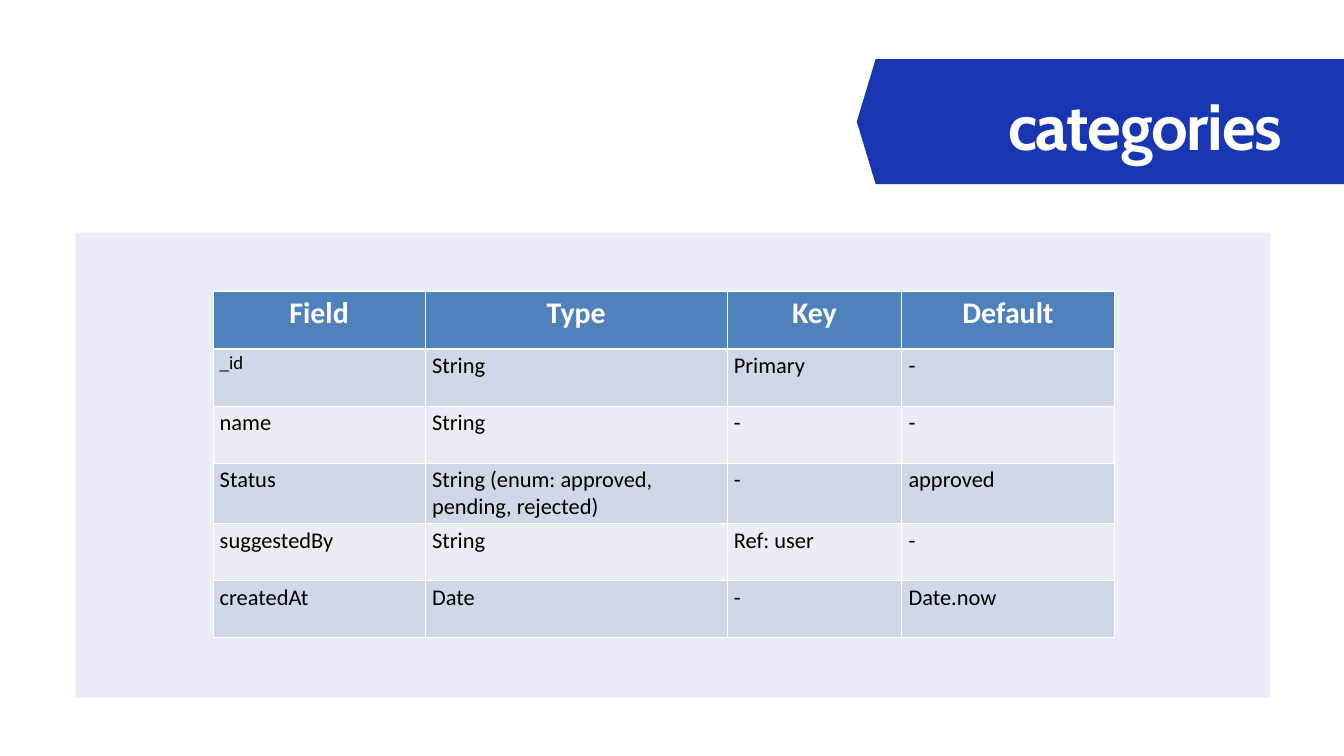
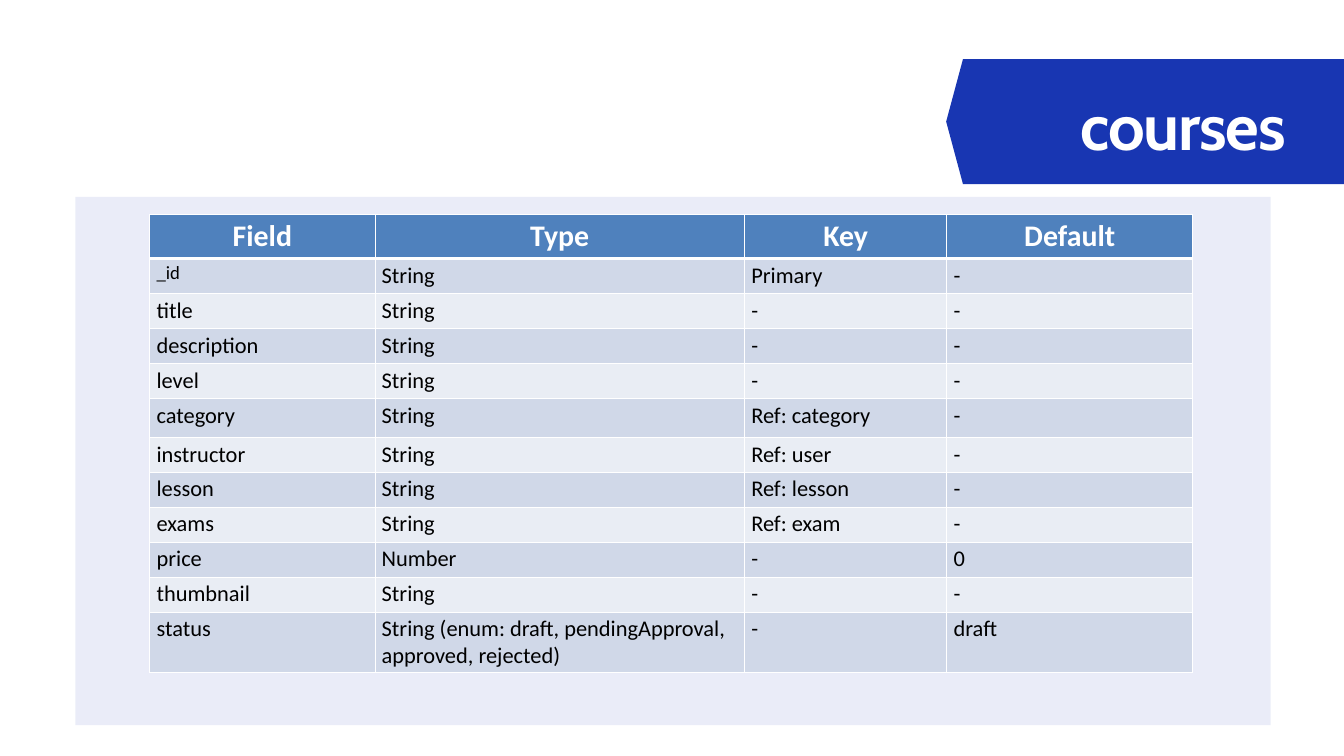
from lxml import etree
from pptx import Presentation
from pptx.dml.color import RGBColor
from pptx.enum.shapes import MSO_SHAPE
from pptx.enum.text import MSO_AUTO_SIZE, PP_ALIGN
from pptx.oxml.ns import qn
from pptx.util import Inches, Pt

RECTANGLE = MSO_SHAPE.RECTANGLE
GROW_TO_TEXT = MSO_AUTO_SIZE.SHAPE_TO_FIT_TEXT
LEFT, CENTER = PP_ALIGN.LEFT, PP_ALIGN.CENTER

BLUE, WHITE, BLACK = "1836B2", "FFFFFF", "000000"
HEADER_FILL = "4F81BD"
BAND_FILLS = ["E9EDF4", "D0D8E8"]  # even rows, odd rows
TITLE_FONT, TABLE_FONT = "Cabin", "Calibri"
HEADINGS = ("Field", "Type", "Key", "Default")
FLAG_TOP, FLAG_MIDDLE, FLAG_BOTTOM = 0.88, 1.81, 2.74
PANEL_LEFT, PANEL_WIDTH = 1.12, 17.79

COLLECTIONS = [
    {
        "title": "categories", "title_left": 15, "title_width": 5.58,
        "flag_left": 12.75, "flag_right": 20.54, "flag_notch": 0.28,
        "panel_top": 3.46, "panel_height": 6.92,
        "table_left": 3.17, "table_top": 4.34,
        "columns": [3.16, 4.49, 2.6, 3.16],
        "row_heights": [0.85] * 6,
        "fields": [
            ("_id", "String", "Primary", "-"),
            ("name", "String", "-", "-"),
            ("Status", "String (enum: approved, pending, rejected)", "-", "approved"),
            ("suggestedBy", "String", "Ref: user", "-"),
            ("createdAt", "Date", "-", "Date.now"),
        ],
    },
    {
        "title": "courses", "title_left": 16.08, "title_width": 4.95,
        "flag_left": 14.08, "flag_right": 21, "flag_notch": 0.25,
        "panel_top": 2.93, "panel_height": 7.86,
        "table_left": 2.23, "table_top": 3.19,
        "columns": [3.35, 5.5, 3.01, 3.66],
        "row_heights": [0.66] + [0.52] * 4 + [0.58] + [0.52] * 6,
        "fields": [
            ("_id", "String", "Primary", "-"),
            ("title", "String", "-", "-"),
            ("description", "String", "-", "-"),
            ("level", "String", "-", "-"),
            ("category", "String", "Ref: category", "-"),
            ("instructor", "String", "Ref: user", "-"),
            ("lesson", "String", "Ref: lesson", "-"),
            ("exams", "String", "Ref: exam", "-"),
            ("price", "Number", "-", "0"),
            ("thumbnail", "String", "-", "-"),
            ("status", "String (enum: draft, pendingApproval, approved, rejected)",
             "-", "draft"),
        ],
    },
]


def paint(fill, color):
    fill.solid()
    fill.fore_color.rgb = RGBColor.from_string(color)


def add_borders(cell, top, bottom):
    properties = cell._tc.get_or_add_tcPr()
    widths = {"a:lnL": 1, "a:lnR": 1, "a:lnT": top, "a:lnB": bottom}
    for position, (tag, width) in enumerate(widths.items()):
        line = etree.Element(qn(tag), w=str(Pt(width)))
        solid = etree.SubElement(line, qn("a:solidFill"))
        etree.SubElement(solid, qn("a:srgbClr"), val=WHITE)
        properties.insert(position, line)


deck = Presentation()
deck.slide_width, deck.slide_height = Inches(20), Inches(11.25)

for collection in COLLECTIONS:
    page = deck.slides.add_slide(deck.slide_layouts[6])
    paint(page.background.fill, WHITE)

    # Title flag pointing left
    tip, right = collection["flag_left"], collection["flag_right"]
    shoulder_left = tip + collection["flag_notch"]
    shoulder_right = right - collection["flag_notch"]
    outline = [(shoulder_right, FLAG_BOTTOM), (right, FLAG_MIDDLE),
               (shoulder_right, FLAG_TOP), (shoulder_left, FLAG_TOP),
               (tip, FLAG_MIDDLE)]
    builder = page.shapes.build_freeform(Inches(shoulder_left), Inches(FLAG_BOTTOM))
    builder.add_line_segments([(Inches(x), Inches(y)) for x, y in outline], close=True)
    flag = builder.convert_to_shape()
    flag.shadow.inherit = False
    paint(flag.fill, BLUE)
    flag.line.fill.background()

    # Title text
    box = page.shapes.add_textbox(Inches(collection["title_left"]), Inches(1.07),
                                  Inches(collection["title_width"]), Inches(1.29))
    frame = box.text_frame
    frame.word_wrap = True
    frame.auto_size = GROW_TO_TEXT
    frame.margin_left = frame.margin_right = frame.margin_top = frame.margin_bottom = 0
    para = frame.paragraphs[0]
    para.line_spacing = Pt(98)
    span = para.add_run()
    span.text = collection["title"]
    span.font.name, span.font.size, span.font.bold = TITLE_FONT, Pt(70), True
    span.font.color.rgb = RGBColor.from_string(WHITE)
    span.font._element.set("spc", "-140")

    # Pale panel behind the table
    panel = page.shapes.add_shape(RECTANGLE, Inches(PANEL_LEFT),
                                  Inches(collection["panel_top"]), Inches(PANEL_WIDTH),
                                  Inches(collection["panel_height"]))
    panel.shadow.inherit = False
    paint(panel.fill, BLUE)
    panel.line.fill.background()
    panel_color = panel._element.spPr.find(qn("a:solidFill")).find(qn("a:srgbClr"))
    etree.SubElement(panel_color, qn("a:alpha"), val="9000")

    # Field table
    rows = [HEADINGS] + collection["fields"]
    columns, heights = collection["columns"], collection["row_heights"]
    table = page.shapes.add_table(
        len(rows), len(columns), Inches(collection["table_left"]),
        Inches(collection["table_top"]), Inches(sum(columns)), Inches(sum(heights))).table
    table.horz_banding = False
    for column, width in zip(table.columns, columns):
        column.width = Inches(width)
    for row_index, values in enumerate(rows):
        table.rows[row_index].height = Inches(heights[row_index])
        is_header = row_index == 0
        for column_index, value in enumerate(values):
            cell = table.cell(row_index, column_index)
            paint(cell.fill, HEADER_FILL if is_header else BAND_FILLS[row_index % 2])
            add_borders(cell, top=3 if row_index == 1 else 1, bottom=3 if is_header else 1)
            cell.text = value
            para = cell.text_frame.paragraphs[0]
            para.alignment = CENTER if is_header else LEFT
            para.font.name = TABLE_FONT
            para.font.size = Pt(32 if is_header else 20 if value == "_id" else 24)
            para.font.bold = is_header
            para.font.color.rgb = RGBColor.from_string(WHITE if is_header else BLACK)

deck.save("out.pptx")
